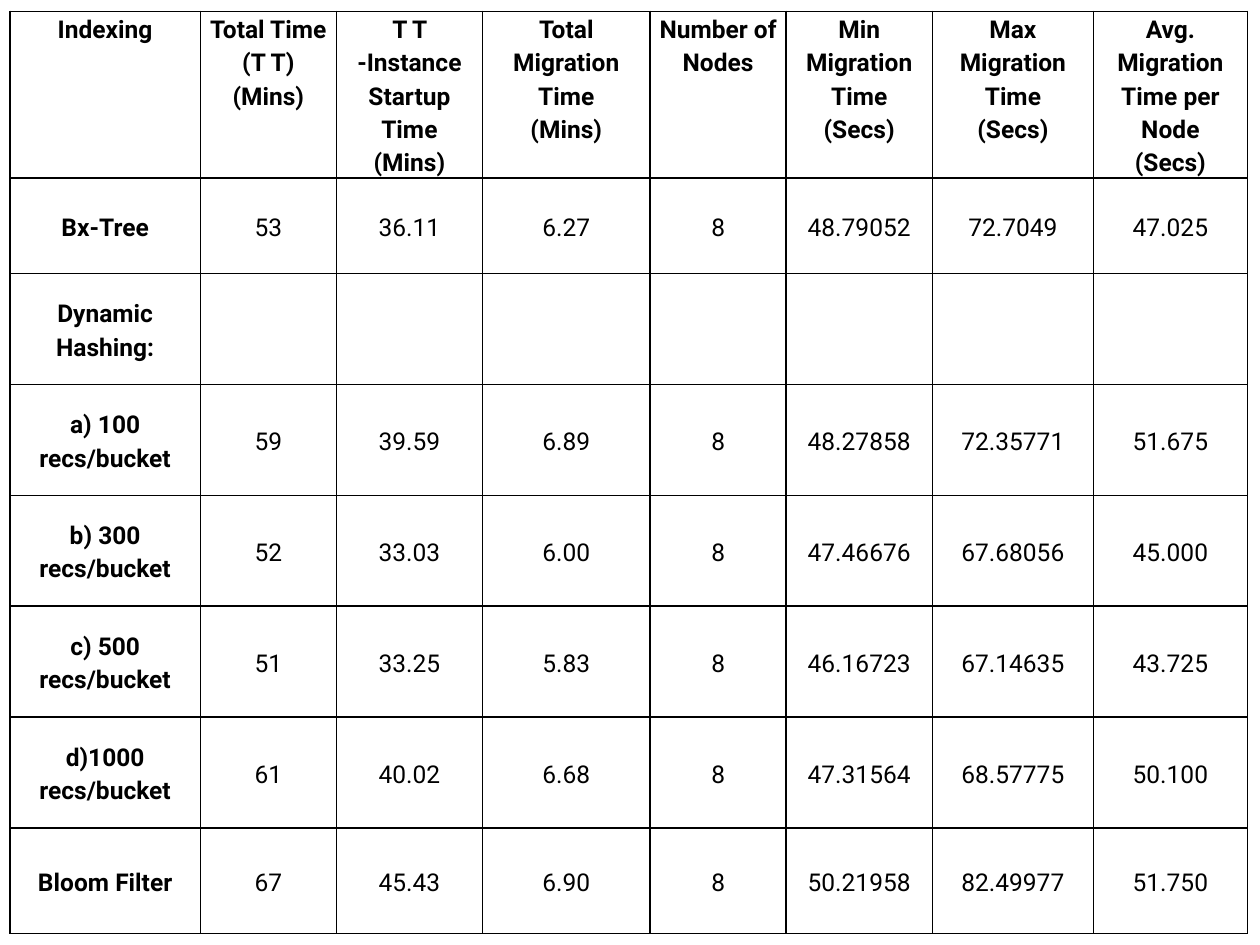
from dataclasses import dataclass

from lxml import etree
from pptx import Presentation
from pptx.dml.color import RGBColor
from pptx.enum.text import MSO_ANCHOR, PP_ALIGN
from pptx.oxml.ns import qn
from pptx.util import Inches, Pt

CENTER = PP_ALIGN.CENTER
TOP, MIDDLE = MSO_ANCHOR.TOP, MSO_ANCHOR.MIDDLE

COLORS = {"ink": "000000", "border": "000000"}
FONT_FORMAT = {"name": "Roboto", "size": Pt(14)}
CELL_FORMAT = {
    "margin_left": Inches(0.07),
    "margin_right": Inches(0.07),
    "margin_top": 0,
    "margin_bottom": 0,
}
TABLE_FORMAT = {"first_row": False, "horz_banding": False}
PARAGRAPH_FORMAT = {"alignment": CENTER, "line_spacing": 1.15}


@dataclass
class Column:
    heading: str
    width: float


@dataclass
class IndexResult:
    label: str
    values: tuple[str, ...] = ()
    height: float = 0.88


COLUMNS = [
    Column("Indexing", 1.51),
    Column("Total Time\n(T T)\n(Mins)", 1.08),
    Column("T T -Instance Startup Time\n(Mins)", 1.16),
    Column("Total Migration Time\n(Mins)", 1.33),
    Column("Number of Nodes", 1.08),
    Column("Min Migration Time\n(Secs)", 1.16),
    Column("Max Migration Time\n(Secs)", 1.28),
    Column("Avg. Migration Time per Node\n(Secs)", 1.22),
]
HEADER_HEIGHT = 1.25
RESULTS = [
    IndexResult("Bx-Tree", ("53", "36.11", "6.27", "8", "48.79052", "72.7049", "47.025"), 0.76),
    IndexResult("Dynamic Hashing:"),
    IndexResult("a) 100 recs/bucket", ("59", "39.59", "6.89", "8", "48.27858", "72.35771", "51.675")),
    IndexResult("b) 300 recs/bucket", ("52", "33.03", "6.00", "8", "47.46676", "67.68056", "45.000")),
    IndexResult("c) 500 recs/bucket", ("51", "33.25", "5.83", "8", "46.16723", "67.14635", "43.725")),
    IndexResult("d)1000 recs/bucket", ("61", "40.02", "6.68", "8", "47.31564", "68.57775", "50.100")),
    IndexResult("Bloom Filter", ("67", "45.43", "6.90", "8", "50.21958", "82.49977", "51.750"), 0.84),
]


def apply_format(target, values: dict) -> None:
    for attribute, value in values.items():
        setattr(target, attribute, value)


def draw_borders(cell) -> None:
    properties = cell._tc.get_or_add_tcPr()
    for side in ("a:lnL", "a:lnR", "a:lnT", "a:lnB"):
        line = etree.SubElement(properties, qn(side), w=str(Pt(1)))
        fill = etree.SubElement(line, qn("a:solidFill"))
        etree.SubElement(fill, qn("a:srgbClr"), val=COLORS["border"])


def fill_cell(cell, text: str, bold: bool, anchor: MSO_ANCHOR) -> None:
    apply_format(cell, CELL_FORMAT | {"vertical_anchor": anchor})
    draw_borders(cell)
    cell.fill.background()
    if not text:
        return
    cell.text_frame.text = text
    for paragraph in cell.text_frame.paragraphs:
        apply_format(paragraph, PARAGRAPH_FORMAT)
        for run in paragraph.runs:
            apply_format(run.font, FONT_FORMAT | {"bold": bold})
            run.font.color.rgb = RGBColor.from_string(COLORS["ink"])


presentation = Presentation()
presentation.slide_width = Inches(10)
presentation.slide_height = Inches(7.5)
slide = presentation.slides.add_slide(presentation.slide_layouts[6])

# Table grid
heights = [HEADER_HEIGHT] + [result.height for result in RESULTS]
comparison = slide.shapes.add_table(
    len(heights), len(COLUMNS), Inches(0.08), Inches(0.09), Inches(9.83), Inches(7.33)
).table
apply_format(comparison, TABLE_FORMAT)
for grid_row, height in zip(comparison.rows, heights):
    grid_row.height = Inches(height)
for grid_column, column in zip(comparison.columns, COLUMNS):
    grid_column.width = Inches(column.width)

# Column headings
for index, column in enumerate(COLUMNS):
    fill_cell(comparison.cell(0, index), column.heading, True, TOP)

# Results per index
for row, result in enumerate(RESULTS, start=1):
    values = result.values or ("",) * (len(COLUMNS) - 1)
    for index, text in enumerate((result.label, *values)):
        fill_cell(comparison.cell(row, index), text, index == 0, MIDDLE)

presentation.save("out.pptx")
